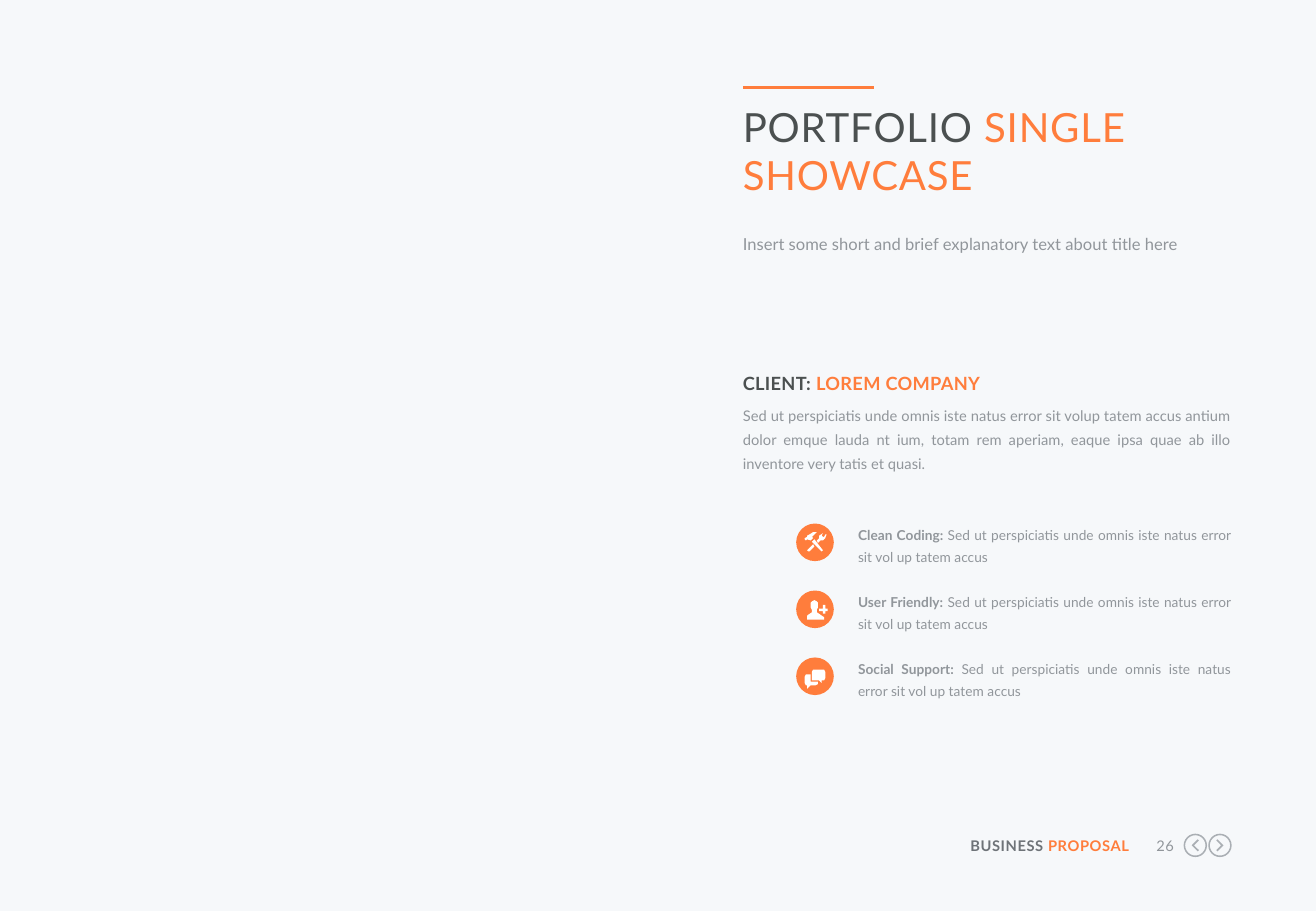
import lxml.etree
import pptx
import pptx.dml.color
import pptx.enum.shapes
import pptx.enum.text
import pptx.oxml.ns
import pptx.util

ORANGE, DARK, GREY, WHITE = "FF7D3C", "4B5050", "91969B", "FFFFFF"
BACK, FOOT, RING = "F6F8FA", "6E7378", "AAAFB4"
LEFT, RIGHT, JUST = (getattr(pptx.enum.text.PP_ALIGN, n) for n in ("LEFT", "RIGHT", "JUSTIFY"))
WIDE, HIGH = pptx.util.Inches(10.83), pptx.util.Inches(7.5)

# Places are percent of the slide's width and height
COL, SPAN = 56.45, 37.1
ICON, ITEM, REST = 60.5, 65.2, 28.35
ROW, STEP = 57.2, 7.35

# Box (left, top, width, height), runs (words, colour, bold),
# size, letter spacing, alignment, line spacing, space after
TEXTS = [
    ((73.1, 91.87, 12.7, 2), [("BUSINESS ", FOOT, True), ("PROPOSAL", ORANGE, True)],
     8.7, 0.3, RIGHT, None, 0),
    ((86.9, 91.87, 2.3, 2), [("26", GREY, False)], 8.7, 0.3, RIGHT, None, 0),
    ((COL, 11.2, SPAN, 12.27), [("PORTFOLIO ", DARK, False), ("SINGLE SHOWCASE", ORANGE, False)],
     23.8, 0.5, LEFT, None, 0),
    ((COL, 25.47, SPAN, 2.8),
     [("Insert some short and brief explanatory text about title here", GREY, False)],
     9.8, 0, LEFT, 13, 0),
    ((COL, 39.87, SPAN, 3.33), [("CLIENT: ", DARK, True), ("LOREM COMPANY", ORANGE, True)],
     10.8, 0.2, LEFT, 18.4, 6.5),
    ((COL, 44, SPAN, 7.87),
     [("Sed ut perspiciatis unde omnis iste natus error sit volup tatem accus antium "
       "dolor emque lauda nt ium, totam rem aperiam, eaque ipsa quae ab illo "
       "inventore very tatis et quasi.", GREY, False)],
     8.7, 0, JUST, 14.1, 6.5),
]

# Icon outlines, in hundredths of an inch from the corner of the disc
TOOLS = [
    [(9, 13), (12, 14), (14, 12), (13, 11), (17, 7), (14, 7), (11, 9),
     (9, 10), (9, 11), (7, 12), (7, 13), (8, 14)],
    [(15, 13), (13, 15), (21, 23), (22, 22)],
    [(25, 9), (24, 9), (23, 11), (22, 11), (21, 10), (22, 8), (19, 10),
     (19, 12), (17, 14), (18, 16), (20, 14), (22, 14), (24, 12)],
    [(9, 22), (10, 23), (11, 23), (15, 19), (14, 17)],
]
USER = [
    [(23, 24), (9, 24), (9, 21), (10, 20), (13, 18), (13, 16), (12, 14), (12, 10),
     (13, 9), (15, 8), (17, 9), (18, 10), (18, 14), (17, 16), (17, 18), (20, 20), (23, 22)],
    [(26, 15), (26, 17), (24, 17), (24, 19), (22, 19), (22, 17), (19, 17),
     (19, 15), (22, 15), (22, 12), (24, 12), (24, 15)],
]
CHAT = [
    [(18, 20), (18, 22), (16, 23), (12, 23), (9, 26), (9, 23), (8, 23), (7, 21),
     (7, 16), (8, 14), (12, 14), (12, 20)],
    [(24, 12), (24, 17), (23, 19), (21, 19), (21, 21), (19, 19), (13, 19),
     (13, 12), (14, 10), (23, 10)],
]
TAIL = "Sed ut perspiciatis unde omnis iste natus error sit vol up tatem accus"
ITEMS = [("Clean Coding: ", TOOLS), ("User Friendly: ", USER), ("Social Support: ", CHAT)]

NEXT = [(6, 5), (10, 9), (6, 13), (7, 14), (12, 9), (7, 4)]
BACKS = [(18 - x, y) for x, y in NEXT]
ARROWS = [(90, BACKS), (91.87, NEXT)]


def tint(code):
    return pptx.dml.color.RGBColor.from_string(code)


def across(share):
    return round(WIDE * share / 100)


def down(share):
    return round(HIGH * share / 100)


def assign(thing, values):
    for name, value in values.items():
        setattr(thing, name, value)


def write(slide, box, runs, size, track, align, lead, after):
    x, y, w, h = box
    frame = slide.shapes.add_textbox(across(x), down(y), across(w), down(h)).text_frame
    assign(frame, {"word_wrap": True, "margin_left": 0, "margin_right": 0,
                   "margin_top": 0, "margin_bottom": 0})
    para = frame.paragraphs[0]
    assign(para, {"alignment": align, "space_after": pptx.util.Pt(after)})
    if lead:
        para.line_spacing = pptx.util.Pt(lead)
    for words, colour, bold in runs:
        run = para.add_run()
        run.text = words
        assign(run.font, {"name": "Lato", "size": pptx.util.Pt(size), "bold": bold})
        run.font.color.rgb = tint(colour)
        if track:
            run._r.get_or_add_rPr().set("spc", str(round(track * 100)))


def paint(shape, fill=None, edge=None):
    shape.shadow.inherit = False
    if fill:
        shape.fill.solid()
        shape.fill.fore_color.rgb = tint(fill)
    else:
        shape.fill.background()
    if edge:
        shape.line.color.rgb = tint(edge)
        shape.line.width = pptx.util.Pt(0.9)
    else:
        shape.line.fill.background()


def disc(slide, x, y, size, fill=None, edge=None):
    kind = pptx.enum.shapes.MSO_SHAPE.OVAL
    side = pptx.util.Inches(size)
    paint(slide.shapes.add_shape(kind, across(x), down(y), side, side), fill, edge)


def trace(slide, x, y, loops, fill):
    unit = pptx.util.Inches(0.01)
    pen = slide.shapes.build_freeform(*loops[0][0], scale=unit)
    for loop in loops:
        pen.move_to(*loop[0])
        pen.add_line_segments(loop[1:], close=True)
    paint(pen.convert_to_shape(across(x), down(y)), fill)


def main():
    deck = pptx.Presentation()
    assign(deck, {"slide_width": WIDE, "slide_height": HIGH})
    slide = deck.slides.add_slide(deck.slide_layouts[6])
    slide.background.fill.solid()
    slide.background.fill.fore_color.rgb = tint(BACK)

    # Rule above the title
    rule = slide.shapes.add_connector(
        pptx.enum.shapes.MSO_CONNECTOR.STRAIGHT,
        across(COL), down(9.6), across(COL + 10), down(9.6))
    rule.line.color.rgb = tint(ORANGE)
    rule.line.width = pptx.util.Pt(2.25)
    lxml.etree.SubElement(rule._element.spPr, pptx.oxml.ns.qn("a:effectLst"))

    # Title, client and footer
    for text in TEXTS:
        write(slide, *text)

    # Features
    for i, (head, loops) in enumerate(ITEMS):
        y = ROW + i * STEP
        disc(slide, ICON, y + 0.27, 0.31, fill=ORANGE)
        trace(slide, ICON, y + 0.27, loops, WHITE)
        write(slide, (ITEM, y, REST, 4.8), [(head, GREY, True), (TAIL, GREY, False)],
              8.1, 0, JUST, 13, 6.5)

    # Page arrows
    for x, loop in ARROWS:
        disc(slide, x, 91.6, 0.18, edge=RING)
        trace(slide, x, 91.6, [loop], RING)

    deck.save("out.pptx")


if __name__ == "__main__":
    main()
